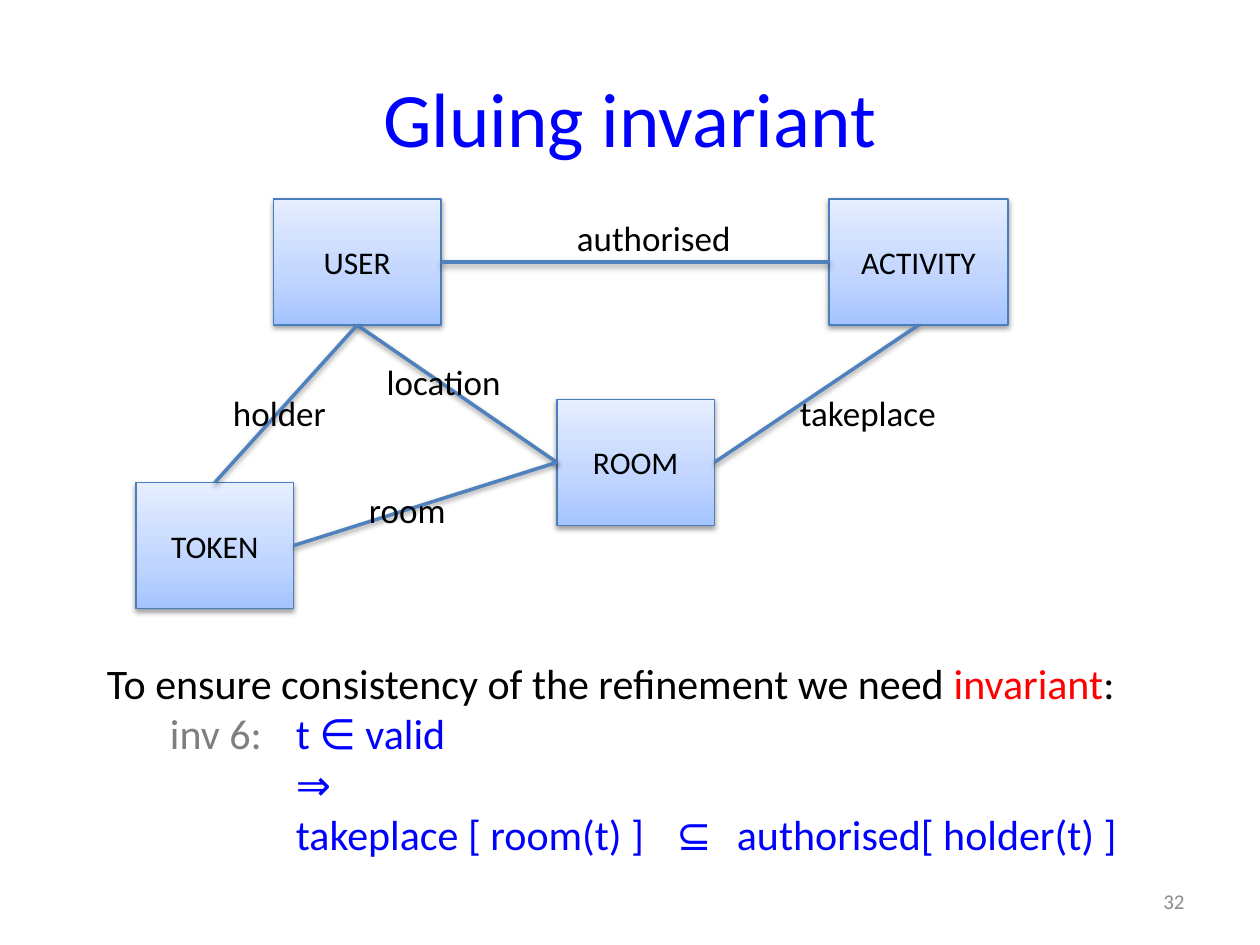
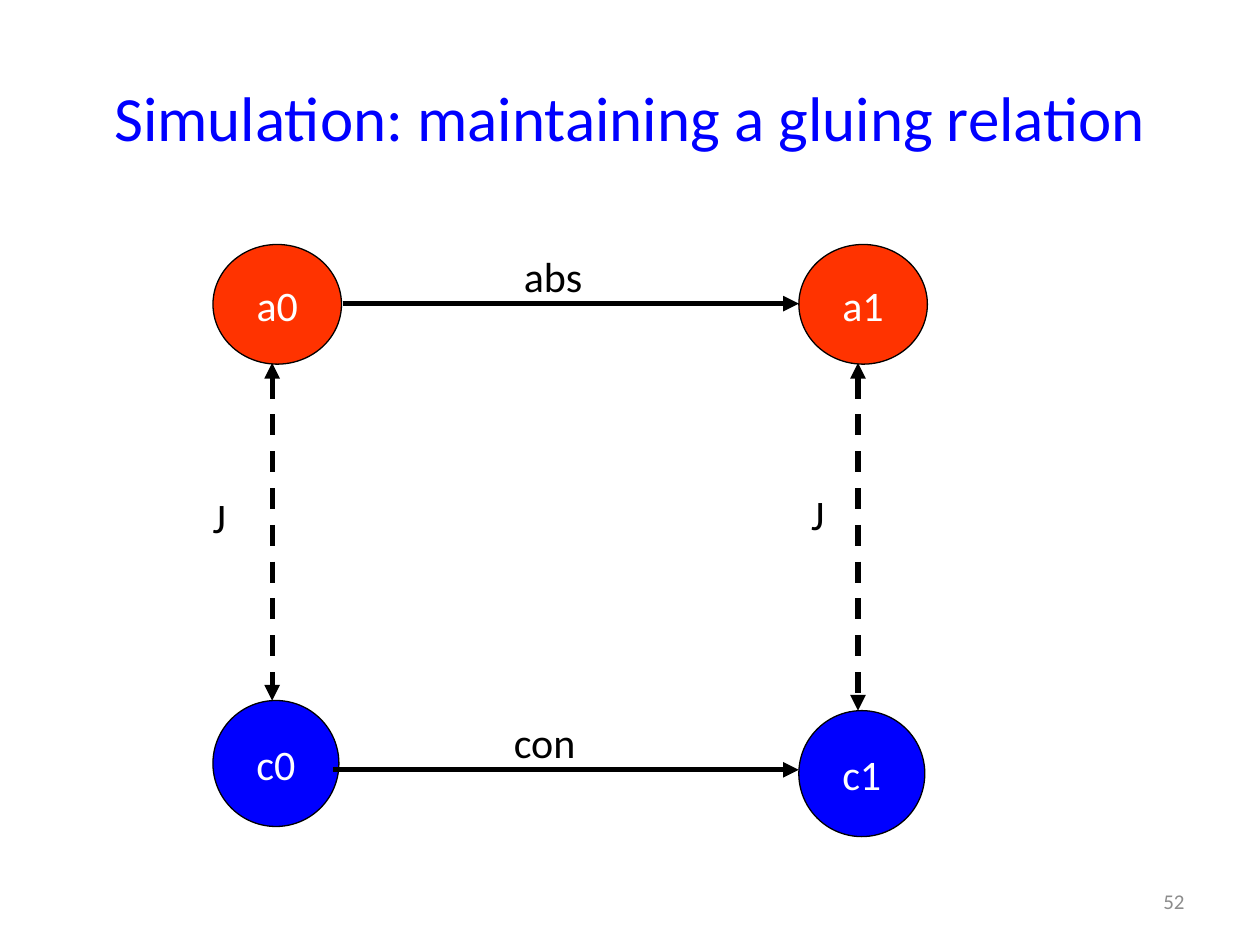
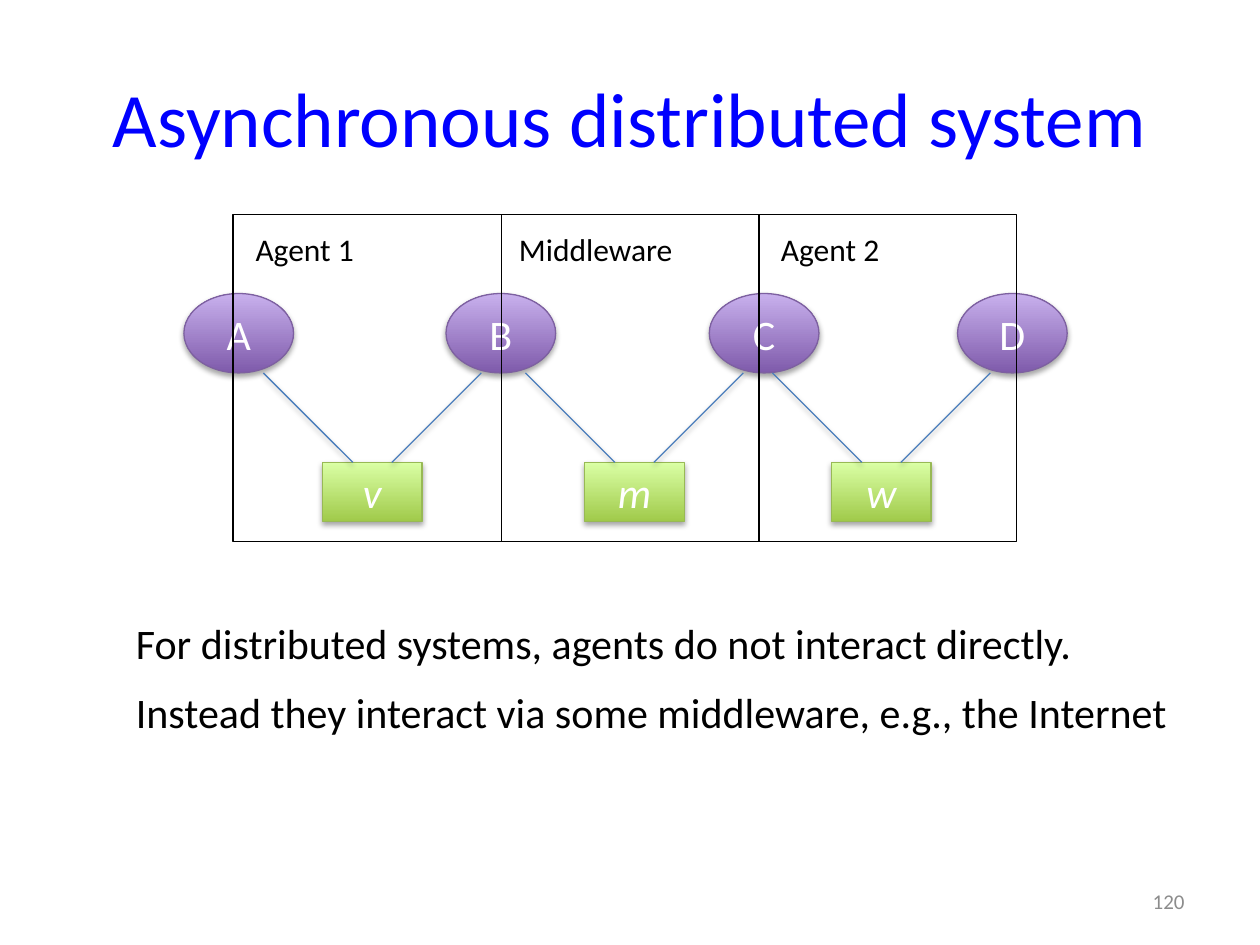
"""Build three slides on refinement, gluing relations and distributed systems."""
from lxml.etree import SubElement
from pptx import Presentation
from pptx.dml.color import RGBColor
from pptx.enum.dml import MSO_LINE
from pptx.enum.shapes import MSO_CONNECTOR, MSO_SHAPE
from pptx.enum.text import MSO_ANCHOR, PP_ALIGN
from pptx.oxml.ns import qn
from pptx.util import Inches, Pt

FONT = "Calibri"
COLORS = {
    "black": "000000",
    "white": "FFFFFF",
    "blue": "0000FF",
    "red": "FF0000",
    "gray": "7F7F7F",
    "number": "8C8C8C",
    "abstract": "FF3300",
    "link": "4F81BD",
    "edge": "4B7EBC",
    "purple_edge": "7D60A0",
    "green_edge": "98B955",
}
GRADIENTS = {
    "blue": [(0, "A4C4FF"), (35, "BFD4FF"), (100, "E6EEFF")],
    "purple": [(0, "7F5BAB"), (100, "C8B0ED")],
    "green": [(0, "A0CA4A"), (100, "DAFFA5")],
}
TOP, LEFT, BOTTOM, RIGHT = range(4)


def rgb(name):
    return RGBColor.from_string(COLORS[name])


def format_run(run, size, color, italic=None):
    run.font.name = FONT
    run.font.size = Pt(size)
    run.font.color.rgb = rgb(color)
    run.font.italic = italic


def add_runs(paragraph, parts, size):
    for text, color in parts:
        run = paragraph.add_run()
        run.text = text
        format_run(run, size, color)


def set_effects(shape, shadow_alpha=None, shadow_distance=20000):
    properties = shape.element.spPr
    effects = SubElement(properties, qn("a:effectLst"))
    if shadow_alpha:
        shadow = SubElement(effects, qn("a:outerShdw"), blurRad="40000", dist=str(shadow_distance),
                            dir="5400000", rotWithShape="0")
        color = SubElement(shadow, qn("a:srgbClr"), val=COLORS["black"])
        SubElement(color, qn("a:alpha"), val=str(shadow_alpha * 1000))


def set_gradient(shape, stops):
    shape.fill.gradient()
    shape.fill.gradient_angle = 90
    stop_list = shape.element.spPr.find(qn("a:gradFill")).find(qn("a:gsLst"))
    for stop in list(stop_list):
        stop_list.remove(stop)
    for position, color in stops:
        stop = SubElement(stop_list, qn("a:gs"), pos=str(position * 1000))
        SubElement(stop, qn("a:srgbClr"), val=color)


def add_titled_slide(presentation, title, number, size=44):
    slide = presentation.slides.add_slide(presentation.slide_layouts[5])
    shape = slide.shapes.title
    shape.left, shape.top = Inches(0.5), Inches(0.3)
    shape.width, shape.height = Inches(9), Inches(1.25)
    shape.text_frame.text = title
    format_run(shape.text_frame.paragraphs[0].runs[0], size, "blue")
    label = add_label(slide, str(number), 7.17, 6.95, 2.33, 0.4, 12, "number")
    label.text_frame.word_wrap = True
    label.text_frame.vertical_anchor = MSO_ANCHOR.MIDDLE
    label.text_frame.paragraphs[0].alignment = PP_ALIGN.RIGHT
    return slide


def add_label(slide, text, left, top, width, height, size, color="black"):
    label = slide.shapes.add_textbox(Inches(left), Inches(top), Inches(width), Inches(height))
    label.text_frame.word_wrap = False
    label.text_frame.text = text
    format_run(label.text_frame.paragraphs[0].runs[0], size, color)
    return label


def add_node(slide, kind, text, left, top, width, height, edge="black", fill=None, gradient=None,
             size=24, color="white", italic=None, shadow_alpha=None, shadow_distance=20000):
    node = slide.shapes.add_shape(kind, Inches(left), Inches(top), Inches(width), Inches(height))
    if gradient:
        set_gradient(node, GRADIENTS[gradient])
    elif fill:
        node.fill.solid()
        node.fill.fore_color.rgb = rgb(fill)
    else:
        node.fill.background()
    node.line.color.rgb = rgb(edge)
    node.line.width = Pt(0.75)
    set_effects(node, shadow_alpha, shadow_distance)
    if text:
        frame = node.text_frame
        frame.word_wrap = False
        frame.vertical_anchor = MSO_ANCHOR.MIDDLE
        frame.text = text
        frame.paragraphs[0].alignment = PP_ALIGN.CENTER
        format_run(frame.paragraphs[0].runs[0], size, color, italic)
    return node


def add_line(slide, start, end, color, width):
    line = slide.shapes.add_connector(MSO_CONNECTOR.STRAIGHT, *map(Inches, start + end))
    line.line.color.rgb = rgb(color)
    line.line.width = Pt(width)
    return line


def add_arrow(slide, start, end, both_ways=False):
    arrow = add_line(slide, start, end, "black", 3)
    if both_ways:
        arrow.line.dash_style = MSO_LINE.DASH
    outline = arrow.element.spPr.find(qn("a:ln"))
    for tag in ["a:headEnd", "a:tailEnd"] if both_ways else ["a:tailEnd"]:
        SubElement(outline, qn(tag), type="triangle")
    set_effects(arrow)


def set_tabs(paragraph, positions):
    tabs = SubElement(paragraph._p.get_or_add_pPr(), qn("a:tabLst"))
    for position in positions:
        SubElement(tabs, qn("a:tab"), pos=str(Inches(position)), algn="l")


def build_gluing_invariant(presentation):
    slide = add_titled_slide(presentation, "Gluing invariant", 32)
    entities = {}
    for name, left, top, width in [("USER", 2.17, 1.58, 1.33), ("ACTIVITY", 6.58, 1.58, 1.42),
                                   ("ROOM", 4.42, 3.17, 1.25), ("TOKEN", 1.08, 3.83, 1.25)]:
        entities[name] = add_node(slide, MSO_SHAPE.RECTANGLE, name, left, top, width, 1, "edge",
                                  gradient="blue", size=18, color="black", shadow_alpha=38)
    for source, source_side, target, target_side in [
        ("USER", BOTTOM, "ROOM", LEFT),
        ("USER", RIGHT, "ACTIVITY", LEFT),
        ("ACTIVITY", BOTTOM, "ROOM", RIGHT),
        ("TOKEN", TOP, "USER", BOTTOM),
        ("TOKEN", RIGHT, "ROOM", LEFT),
    ]:
        relation = add_line(slide, (0, 0), (0, 0), "link", 2)
        relation.begin_connect(entities[source], source_side)
        relation.end_connect(entities[target], target_side)
        set_effects(relation, 38)
    for name, left, top, width in [("location", 2.97, 2.81, 1.12), ("authorised", 4.48, 1.67, 1.43),
                                   ("takeplace", 6.25, 3.06, 1.29), ("room", 2.83, 3.83, 0.82),
                                   ("holder", 1.75, 3.06, 0.95)]:
        add_label(slide, name, left, top, width, 0.44, 20)
    box = slide.shapes.add_textbox(Inches(0.75), Inches(5.17), Inches(8.42), Inches(1.7))
    frame = box.text_frame
    frame.word_wrap = True
    add_runs(frame.paragraphs[0], [("To ensure consistency of the refinement we need ", "black"),
                                   ("invariant", "red"), (":", "black")], 24)
    for parts in [
        [("\tinv 6:", "gray"), ("\tt ∈ valid", "blue")],
        [("\t\t⇒", "blue")],
        [("\t\ttakeplace [ room(t) ]\t⊆\tauthorised[ holder(t) ]", "blue")],
    ]:
        paragraph = frame.add_paragraph()
        set_tabs(paragraph, [0.5, 1.5, 4.52, 5])
        add_runs(paragraph, parts, 24)


def build_simulation(presentation):
    slide = add_titled_slide(presentation, "Simulation: maintaining a gluing relation", 52, 36)
    for name, left, top, width, height, fill in [
        ("a0", 1.69, 1.94, 1.02, 0.95, "abstract"), ("a1", 6.34, 1.94, 1.02, 0.95, "abstract"),
        ("c0", 1.69, 5.56, 1, 1, "blue"), ("c1", 6.34, 5.64, 1, 1, "blue"),
    ]:
        add_node(slide, MSO_SHAPE.OVAL, name, left, top, width, height, fill=fill)
    add_arrow(slide, (2.72, 2.41), (6.34, 2.41))
    add_arrow(slide, (2.64, 6.11), (6.34, 6.11))
    add_arrow(slide, (2.16, 2.88), (2.16, 5.56), both_ways=True)
    add_arrow(slide, (6.81, 2.88), (6.81, 5.64), both_ways=True)
    for name, left, top, width in [("abs", 4.06, 1.94, 0.67), ("con", 3.98, 5.64, 0.7),
                                   ("J", 1.59, 3.85, 0.37), ("J", 6.34, 3.83, 0.37)]:
        add_label(slide, name, left, top, width, 0.5, 24)


def build_distributed_system(presentation):
    slide = add_titled_slide(presentation, "Asynchronous distributed system", 120)
    shadow = {"shadow_alpha": 35, "shadow_distance": 23000}
    for event, left in zip("ABCD", [1.46, 3.54, 5.63, 7.6]):
        add_node(slide, MSO_SHAPE.OVAL, event, left, 2.33, 0.87, 0.63, "purple_edge",
                 gradient="purple", **shadow)
    event_bottom, variable_top = 2.96, 3.67
    reach = variable_top - event_bottom
    for variable, left in zip("vmw", [2.56, 4.64, 6.6]):
        add_node(slide, MSO_SHAPE.RECTANGLE, variable, left, variable_top, 0.79, 0.47, "green_edge",
                 gradient="green", italic=True, **shadow)
        for offset, shift in [(0.24, -reach), (0.55, reach)]:
            foot = left + offset
            link = add_line(slide, (foot + shift, event_bottom), (foot, variable_top), "edge", 0.75)
            set_effects(link, **shadow)
    for name, left, width, label_left, label_width in [
        ("Agent 1", 1.85, 2.13, 1.93, 1.06),
        ("Middleware", 3.98, 2.05, 4.02, 1.48),
        ("Agent 2", 6.02, 2.05, 6.1, 1.06),
    ]:
        add_node(slide, MSO_SHAPE.RECTANGLE, "", left, 1.7, width, 2.6)
        add_label(slide, name, label_left, 1.78, label_width, 0.4, 18)
    body = add_label(slide, "For distributed systems, agents do not interact directly.",
                     0.98, 4.85, 8.52, 1.11, 24)
    body.text_frame.word_wrap = True
    paragraph = body.text_frame.add_paragraph()
    paragraph.space_before = Pt(11)
    add_runs(paragraph, [("Instead they interact via some middleware, e.g., the Internet", "black")], 24)


def main():
    presentation = Presentation()
    presentation.slide_width, presentation.slide_height = Inches(10), Inches(7.5)
    build_gluing_invariant(presentation)
    build_simulation(presentation)
    build_distributed_system(presentation)
    presentation.save("out.pptx")


if __name__ == "__main__":
    main()
